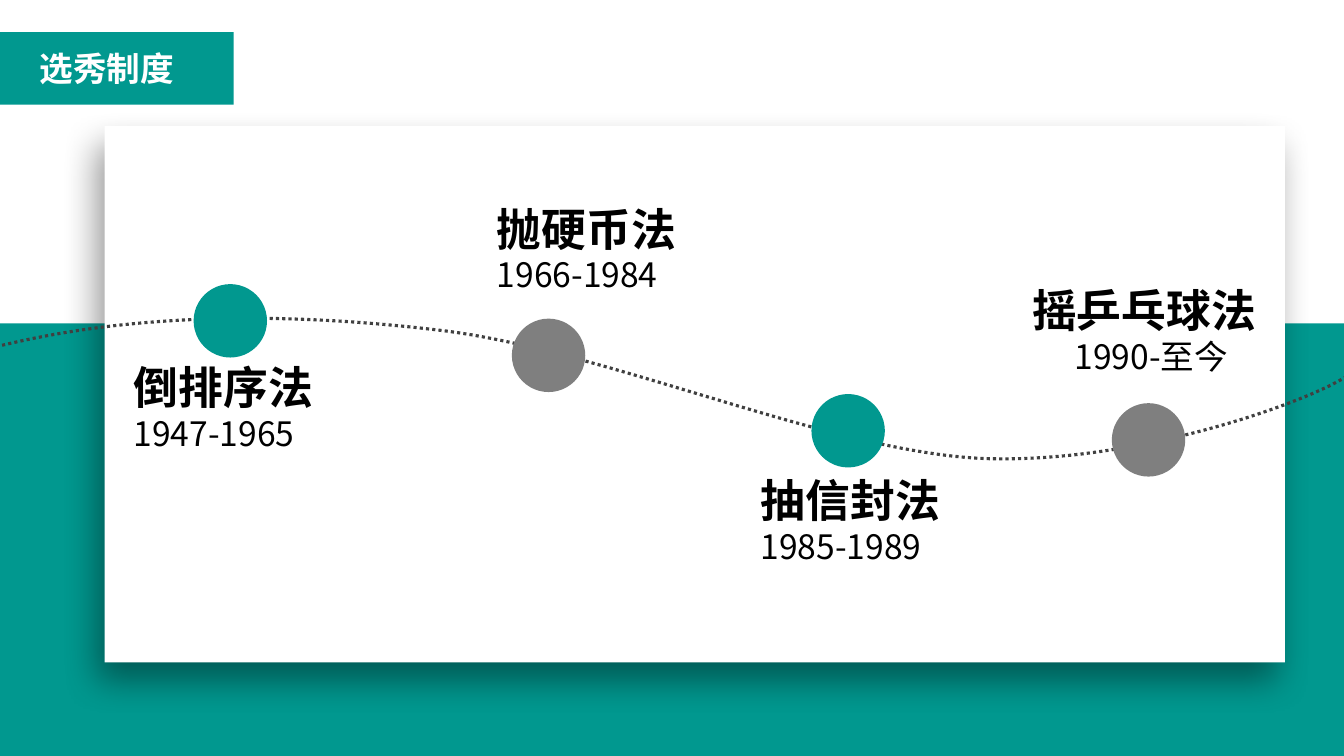
from typing import NamedTuple

from pptx import Presentation
from pptx import util as u
from pptx.dml.color import RGBColor
from pptx.enum import dml, shapes, text
from pptx.oxml import parse_xml
from pptx.oxml.ns import nsdecls, qn
from pptx.oxml.xmlchemy import OxmlElement

TEAL = RGBColor(0x01, 0x98, 0x8F)
GREY = RGBColor(0x7F, 0x7F, 0x7F)
DARK = RGBColor(0x40, 0x40, 0x40)
BLACK = RGBColor(0, 0, 0)
WHITE = RGBColor(0xFF, 0xFF, 0xFF)
FONT = "Noto Sans CJK SC"
DOT_SIZE = 1.85
CURVE_STEPS = 40


class Point(NamedTuple):
    x: float
    y: float


class Era(NamedTuple):
    method: str
    years: str
    label: Point
    dot: Point
    color: RGBColor
    years_indent: float = 0


class Bend(NamedTuple):
    start: Point
    control_1: Point
    control_2: Point
    end: Point

    def at(self, t: float) -> Point:
        weights = ((1 - t) ** 3, 3 * t * (1 - t) ** 2, 3 * t**2 * (1 - t), t**3)
        return Point(sum(w * p.x for w, p in zip(weights, self)),
                     sum(w * p.y for w, p in zip(weights, self)))


ERAS = [
    Era("倒排序法", "1947-1965", Point(3.12, 8.94), Point(4.88, 7.16), TEAL),
    Era("抛硬币法", "1966-1984", Point(12.27, 4.95), Point(12.9, 8.03), GREY),
    Era("抽信封法", "1985-1989", Point(18.92, 11.79), Point(20.45, 9.93), TEAL),
    Era("摇乒乓球法", "1990-至今", Point(25.76, 7.01), Point(28.02, 10.16), GREY, 1.07),
]

CREST, TROUGH = Point(10.97, 8.31), Point(24.92, 11.56)
BENDS = [
    Bend(Point(-0.1, 8.74), Point(3.07, 7.95), Point(6.81, 7.82), CREST),
    Bend(CREST, Point(15.14, 8.76), Point(21.03, 11.46), TROUGH),
    Bend(TROUGH, Point(28.78, 11.66), Point(32.97, 10.11), Point(33.91, 9.5)),
]


def add_filled(slide, kind, corner: Point, width: float, height: float, color: RGBColor):
    shape = slide.shapes.add_shape(
        kind, u.Cm(corner.x), u.Cm(corner.y), u.Cm(width), u.Cm(height))
    shape.shadow.inherit = False
    shape.fill.solid()
    shape.fill.fore_color.rgb = color
    shape.line.fill.background()
    return shape


def style(paragraph, size: int, color: RGBColor, bold: bool) -> None:
    font = paragraph.font
    font.name, font.size, font.bold = FONT, u.Pt(size), bold
    font.color.rgb = color
    east_asian = OxmlElement("a:ea")
    east_asian.set("typeface", FONT)
    paragraph._p.pPr.find(qn("a:defRPr")).append(east_asian)


def add_card_shadow(card) -> None:
    effects = card._element.spPr.find(qn("a:effectLst"))
    effects.append(parse_xml(
        f'<a:outerShdw {nsdecls("a")} blurRad="{u.Pt(26)}" dist="{u.Pt(15)}" '
        f'dir="{111 * 60000}" algn="ctr" rotWithShape="0">'
        '<a:srgbClr val="000000"><a:alpha val="40000"/></a:srgbClr></a:outerShdw>'))


def add_curve(slide) -> None:
    points = [bend.at(step / CURVE_STEPS)
              for bend in BENDS for step in range(1, CURVE_STEPS + 1)]
    start = BENDS[0].start
    builder = slide.shapes.build_freeform(u.Cm(start.x), u.Cm(start.y))
    builder.add_line_segments([(u.Cm(p.x), u.Cm(p.y)) for p in points], close=False)
    curve = builder.convert_to_shape()
    curve.shadow.inherit = False
    curve.fill.background()
    curve.line.color.rgb = DARK
    curve.line.width = u.Pt(2.25)
    curve.line.dash_style = dml.MSO_LINE.ROUND_DOT


def add_label(slide, era: Era) -> None:
    label = slide.shapes.add_textbox(
        u.Cm(era.label.x), u.Cm(era.label.y), u.Cm(6.2), u.Cm(3.05))
    frame = label.text_frame
    frame.word_wrap = True
    method = frame.paragraphs[0]
    method.text = era.method
    style(method, 32, BLACK, True)
    years = frame.add_paragraph()
    years.text = era.years
    years.line_spacing = 0.8
    years.space_before = u.Pt(5)
    if era.years_indent:
        years._p.get_or_add_pPr().set("marL", str(u.Cm(era.years_indent)))
    style(years, 24, BLACK, False)


def main() -> None:
    deck = Presentation()
    deck.slide_width, deck.slide_height = u.Cm(33.87), u.Cm(19.05)
    slide = deck.slides.add_slide(deck.slide_layouts[6])
    rectangle = shapes.MSO_SHAPE.RECTANGLE

    # Backdrop and card
    add_filled(slide, rectangle, Point(0, 8.15), 33.87, 10.9, TEAL)
    card = add_filled(slide, rectangle, Point(2.64, 3.18), 29.74, 13.51, WHITE)
    add_card_shadow(card)

    # Title tag
    tag = add_filled(slide, rectangle, Point(0, 0.81), 5.89, 1.83, TEAL)
    frame = tag.text_frame
    frame.word_wrap = False
    frame.margin_left = u.Cm(1)
    frame.vertical_anchor = text.MSO_ANCHOR.MIDDLE
    title = frame.paragraphs[0]
    title.text = "选秀制度"
    title.alignment = text.PP_ALIGN.LEFT
    style(title, 24, WHITE, True)

    # Timeline
    add_curve(slide)
    for era in ERAS:
        add_label(slide, era)
        add_filled(slide, shapes.MSO_SHAPE.OVAL, era.dot, DOT_SIZE, DOT_SIZE, era.color)

    deck.save("out.pptx")


if __name__ == "__main__":
    main()
